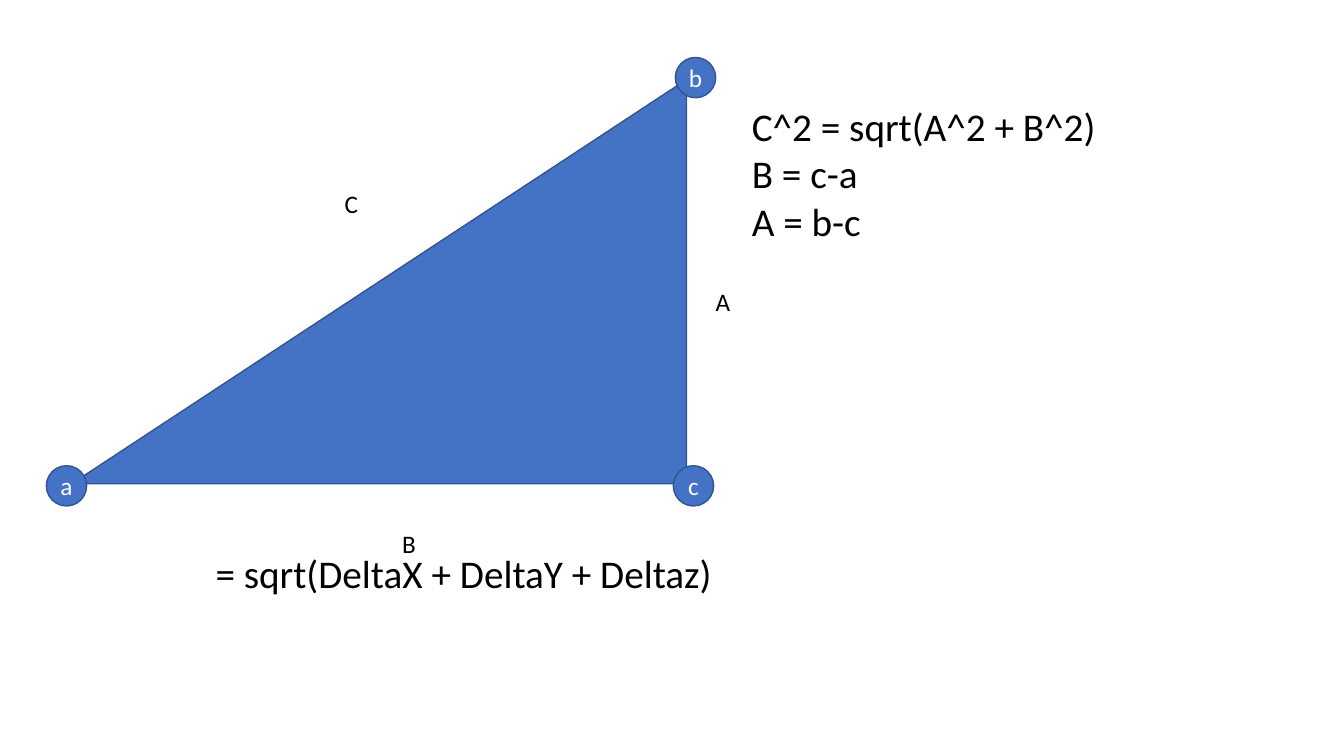
"""Build a slide that labels a right triangle and its distance formulas."""
from typing import NamedTuple

from pptx import Presentation
from pptx.dml.color import RGBColor
from pptx.enum.shapes import MSO_SHAPE as Shape
from pptx.enum.text import MSO_ANCHOR as Anchor, MSO_AUTO_SIZE as AutoSize, PP_ALIGN as Align
from pptx.util import Inches, Pt

BLUE = RGBColor(0x44, 0x72, 0xC4)
NAVY = RGBColor(0x32, 0x54, 0x91)
BLACK = RGBColor(0, 0, 0)
WHITE = RGBColor(255, 255, 255)
FONT = "Calibri"
VERTEX_SIZE = (3, 5.33)
SIDE_SIZE = (1.28, 5.33)


class Box(NamedTuple):
    """Area in percent of the slide's width and height."""
    x: float
    y: float
    w: float
    h: float


class Label(NamedTuple):
    """Short name at the top left corner of its area."""
    text: str
    x: float
    y: float


SIDES = [Label("A", 52.8, 37.2), Label("B", 29.48, 69.2), Label("C", 25.2, 24.27)]
VERTICES = [Label("b", 50.25, 7.6), Label("a", 3.45, 61.6), Label("c", 50.1, 61.6)]
TRIANGLE = Box(5.33, 10.53, 45.75, 53.47)
RULES = Box(55.2, 12.93, 38.33, 26.53)
DISTANCE = Box(15.3, 72, 64.05, 13.87)

prs = Presentation()
prs.slide_width, prs.slide_height = Inches(13.33), Inches(7.5)
s = prs.slides.add_slide(prs.slide_layouts[6])


def place(box: Box) -> tuple[int, ...]:
    """Turn percentages into slide lengths."""
    spans = (prs.slide_width, prs.slide_height) * 2
    return tuple(round(span * share / 100) for span, share in zip(spans, box))


def write(tf, text: str, size: float = 18, color: RGBColor = BLACK,
          align: Align = Align.LEFT, inset: float = 0.1) -> None:
    """Fill a text frame, one paragraph a line."""
    tf.word_wrap = True
    tf.margin_left = tf.margin_right = Inches(inset)
    for i, line in enumerate(text.split("\n")):
        p = tf.add_paragraph() if i else tf.paragraphs[0]
        p.alignment = align
        r = p.add_run()
        r.text = line
        r.font.name, r.font.size = FONT, Pt(size)
        r.font.color.rgb = color


def add_text(box: Box, text: str, **style) -> None:
    """Add a text box that grows with its text."""
    tf = s.shapes.add_textbox(*place(box)).text_frame
    tf.auto_size = AutoSize.SHAPE_TO_FIT_TEXT
    write(tf, text, **style)


def add_figure(kind: Shape, box: Box):
    """Add a blue outlined shape."""
    sp = s.shapes.add_shape(kind, *place(box))
    sp.shadow.inherit = False
    sp.fill.solid()
    sp.fill.fore_color.rgb = BLUE
    sp.line.color.rgb = NAVY
    sp.line.width = Pt(1)
    return sp


def add_vertex(label: Label) -> None:
    """Add a circle with the vertex name."""
    tf = add_figure(Shape.OVAL, Box(label.x, label.y, *VERTEX_SIZE)).text_frame
    tf.vertical_anchor = Anchor.MIDDLE
    write(tf, label.text, color=WHITE, align=Align.CENTER, inset=0)


add_figure(Shape.ISOSCELES_TRIANGLE, TRIANGLE).adjustments[0] = 1
for side in SIDES:
    add_text(Box(side.x, side.y, *SIDE_SIZE), side.text, inset=0.06)
add_text(RULES, "C^2 = sqrt(A^2 + B^2)\nB = c-a\nA = b-c", size=28)
for vertex in VERTICES:
    add_vertex(vertex)
add_text(DISTANCE, "= sqrt(DeltaX + DeltaY + Deltaz)", size=28)

prs.save("out.pptx")
